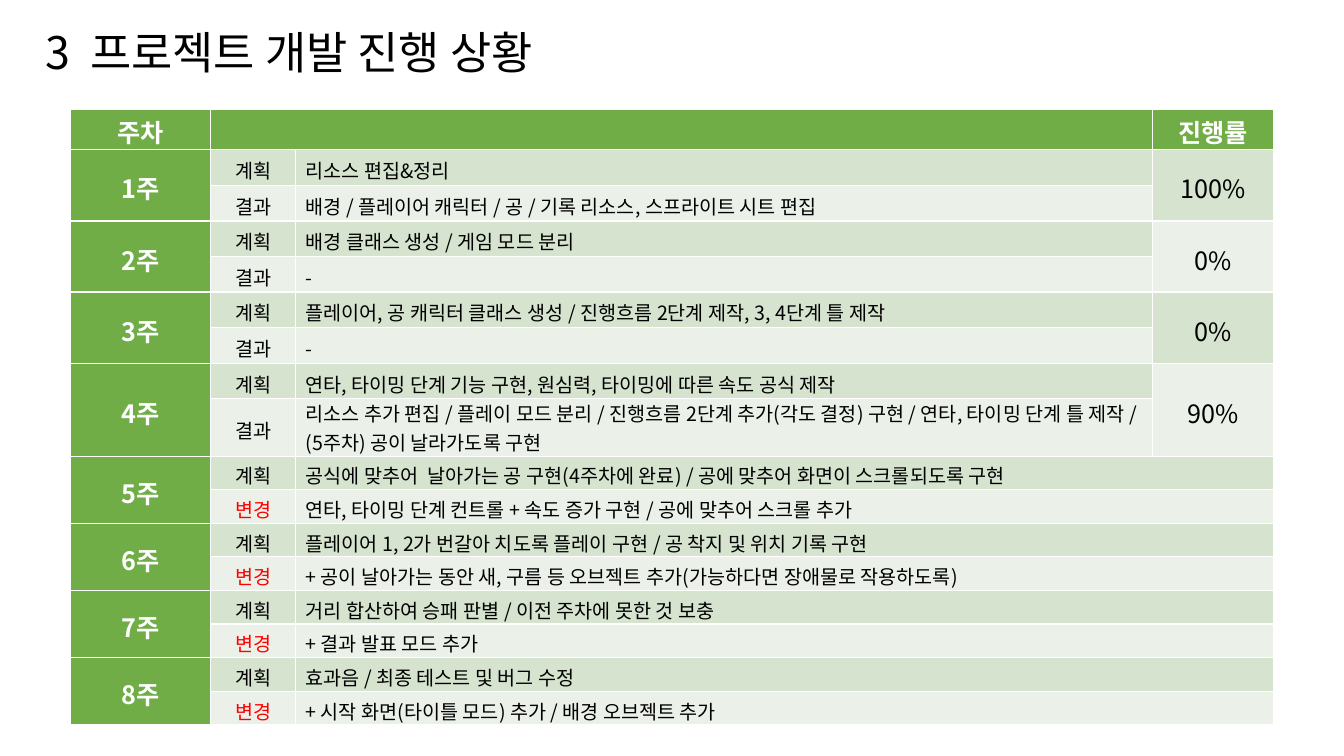
from pptx import Presentation
from pptx.dml.color import RGBColor as Rgb
from pptx.enum.text import MSO_ANCHOR as Anchor, PP_ALIGN as Align
from pptx.oxml.ns import qn
from pptx.util import Pt
from lxml.etree import SubElement as Sub

FONT = "Noto Sans CJK KR"
BLACK = Rgb(0x00, 0x00, 0x00)
WHITE = Rgb(0xFF, 0xFF, 0xFF)
RED = Rgb(0xFF, 0x00, 0x00)
GREEN = Rgb(0x70, 0xAD, 0x47)
MID = Rgb(0xD5, 0xE3, 0xCF)
PALE = Rgb(0xEB, 0xF1, 0xE9)

COLS = [100, 60.5, 612, 87]
HEAD = 29
ROWS = [25.4] * 7 + [41] + [24] * 8
WEEKS = [
    ("리소스 편집&정리",
     "배경 / 플레이어 캐릭터 / 공 / 기록 리소스, 스프라이트 시트 편집", "100%"),
    ("배경 클래스 생성 / 게임 모드 분리", "-", "0%"),
    ("플레이어, 공 캐릭터 클래스 생성 / 진행흐름 2단계 제작, 3, 4단계 틀 제작", "-", "0%"),
    ("연타, 타이밍 단계 기능 구현, 원심력, 타이밍에 따른 속도 공식 제작",
     "리소스 추가 편집 / 플레이 모드 분리 / 진행흐름 2단계 추가(각도 결정) 구현 / "
     "연타, 타이밍 단계 틀 제작 / (5주차) 공이 날라가도록 구현", "90%"),
    ("공식에 맞추어  날아가는 공 구현(4주차에 완료) / 공에 맞추어 화면이 스크롤되도록 구현",
     "연타, 타이밍 단계 컨트롤 + 속도 증가 구현 / 공에 맞추어 스크롤 추가", None),
    ("플레이어 1, 2가 번갈아 치도록 플레이 구현 / 공 착지 및 위치 기록 구현",
     "+ 공이 날아가는 동안 새, 구름 등 오브젝트 추가(가능하다면 장애물로 작용하도록)", None),
    ("거리 합산하여 승패 판별 / 이전 주차에 못한 것 보충", "+ 결과 발표 모드 추가", None),
    ("효과음 / 최종 테스트 및 버그 수정",
     "+ 시작 화면(타이틀 모드) 추가 / 배경 오브젝트 추가", None),
]


def write(frame, text, size, color=BLACK, bold=False, align=Align.LEFT):
    """Put one styled paragraph into a text frame."""
    para = frame.paragraphs[0]
    para.text = text
    para.alignment = align
    font = para.font
    font.name, font.size, font.bold = FONT, Pt(size), bold
    font.color.rgb = color
    base = para._p.pPr.find(qn("a:defRPr"))
    Sub(base, qn("a:ea")).set("typeface", FONT)


def paint(cell, fill, text="", size=14, top=3.6, **style):
    """Fill a table cell and write its text."""
    cell.fill.solid()
    cell.fill.fore_color.rgb = fill
    cell.vertical_anchor = Anchor.MIDDLE
    cell.margin_top, cell.margin_bottom = Pt(top), Pt(0)
    write(cell.text_frame, text, size, **style)


def add_title(slide, left, top, width, height):
    """Place the slide title."""
    frame = slide.shapes.add_textbox(
        Pt(left), Pt(top), Pt(width), Pt(height)).text_frame
    frame.word_wrap = True
    write(frame, "3  프로젝트 개발 진행 상황", 32)


def add_week(table, week, plan, done, rate):
    """Fill the two rows of one week."""
    row = 2 * week - 1
    mid = {"align": Align.CENTER}
    name = table.cell(row, 0)
    name.merge(table.cell(row + 1, 0))
    paint(name, GREEN, f"{week}주", 18, color=WHITE, bold=True, **mid)
    tag, ink = ("결과", BLACK) if rate else ("변경", RED)
    lines = [("계획", BLACK, plan, MID), (tag, ink, done, PALE)]
    for pos, (label, color, text, fill) in enumerate(lines, row):
        top = 0 if ROWS[pos - 1] > 40 else 3.6
        paint(table.cell(pos, 1), fill, label, color=color, **mid)
        paint(table.cell(pos, 2), fill, text, top=top)
        if not rate:
            table.cell(pos, 2).merge(table.cell(pos, 3))
    if rate:
        cell = table.cell(row, 3)
        cell.merge(table.cell(row + 1, 3))
        paint(cell, MID if week % 2 else PALE, rate, 18, **mid)


def add_plan(slide, left, top):
    """Place the weekly progress table."""
    sizes = [HEAD] + ROWS
    table = slide.shapes.add_table(
        len(sizes), len(COLS), Pt(left), Pt(top),
        Pt(sum(COLS)), Pt(sum(sizes))).table
    for col, width in zip(table.columns, COLS):
        col.width = Pt(width)
    for row, height in zip(table.rows, sizes):
        row.height = Pt(height)
    table.cell(0, 1).merge(table.cell(0, 2))
    for col, text in (0, "주차"), (1, ""), (3, "진행률"):
        paint(table.cell(0, col), GREEN, text, 18, top=2.8,
              color=WHITE, bold=True, align=Align.CENTER)
    for week, parts in enumerate(WEEKS, 1):
        add_week(table, week, *parts)


def main():
    """Build and save the slide."""
    deck = Presentation()
    deck.slide_width, deck.slide_height = Pt(960), Pt(540)
    slide = deck.slides.add_slide(deck.slide_layouts[6])
    add_title(slide, 25.2, 14.4, 583, 46)
    add_plan(slide, 50.6, 78)
    deck.save("out.pptx")


if __name__ == "__main__":
    main()
